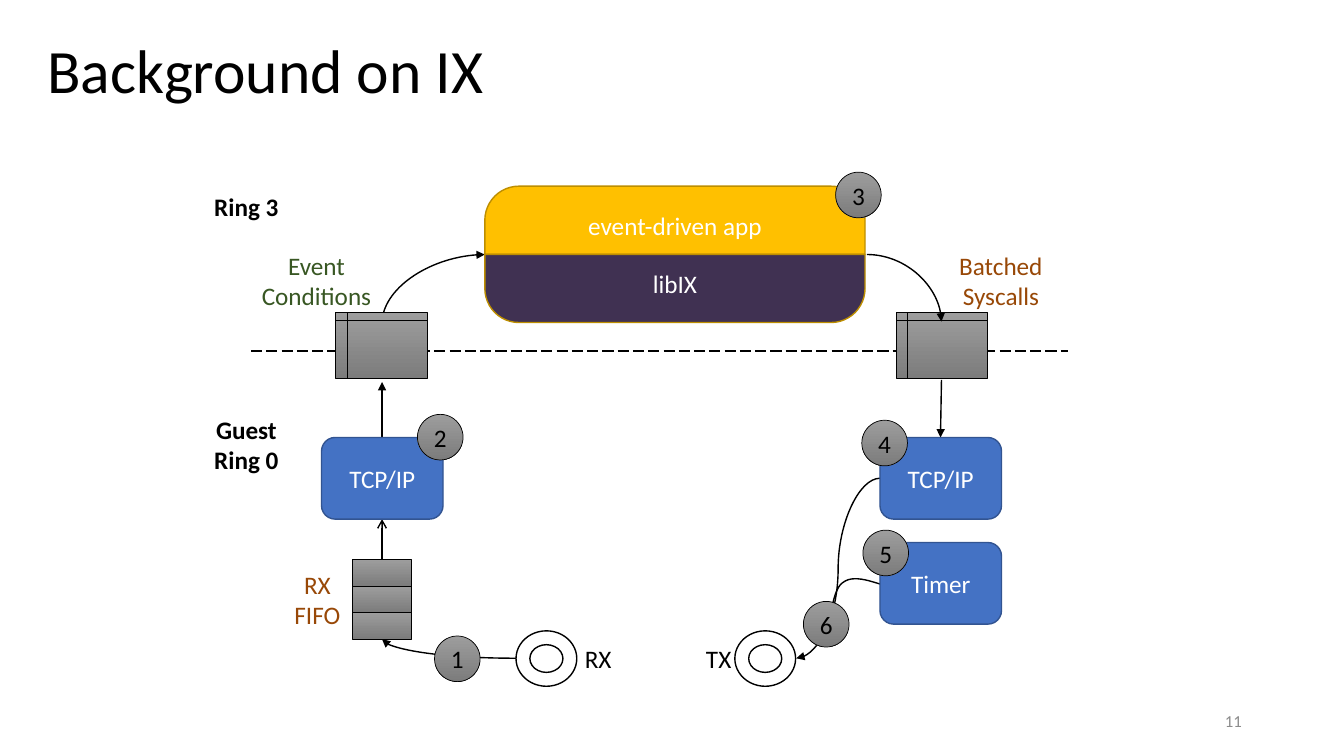
from pptx import Presentation
from pptx.dml.color import RGBColor
from pptx.enum.dml import MSO_LINE
from pptx.enum.shapes import MSO_CONNECTOR as CONN, MSO_SHAPE as SHAPE
from pptx.enum.text import MSO_ANCHOR as ANCHOR, PP_ALIGN as ALIGN
from pptx.oxml.ns import qn
from pptx.util import Pt
from lxml.etree import SubElement

BLACK, WHITE, BLUE, BROWN = "000000", "FFFFFF", "4472C4", "984807"
GREY = ("9D9D9D", "7C7C7C")

prs = Presentation()
prs.slide_width, prs.slide_height = Pt(960), Pt(540)
s = prs.slides.add_slide(prs.slide_layouts[6])
rgb = RGBColor.from_string


def add_text(box, text, color=BLACK, size=18, bold=False, align=ALIGN.CENTER,
             anchor=ANCHOR.TOP, wrap=False, sp=None):
    """Write one paragraph per line, in the shape sp or in a new text box."""
    sp = sp or s.shapes.add_textbox(*map(Pt, box))
    tf = sp.text_frame
    tf.word_wrap, tf.vertical_anchor = wrap, anchor
    for i, line in enumerate(text.split("\n")):
        p = tf.add_paragraph() if i else tf.paragraphs[0]
        p.alignment = align
        r = p.add_run()
        r.text = line
        r.font.name, r.font.size, r.font.bold = "Calibri", Pt(size), bold
        r.font.color.rgb = rgb(color)
    return tf


def add_node(kind, box, fill, line=BLACK, width=1, text="", color=WHITE, adj=()):
    """Draw a preset shape; a pair of fill colours makes a vertical gradient."""
    sp = s.shapes.add_shape(kind, *map(Pt, box))
    sp.shadow.inherit = False
    for i, value in enumerate(adj):
        sp.adjustments[i] = value
    if isinstance(fill, tuple):
        sp.fill.gradient()
        sp.fill.gradient_angle = 270
        for stop, shade in zip(sp.fill.gradient_stops, fill):
            stop.color.rgb = rgb(shade)
    else:
        sp.fill.solid()
        sp.fill.fore_color.rgb = rgb(fill)
    sp.line.color.rgb, sp.line.width = rgb(line), Pt(width)
    if text:
        tf = add_text(box, text, color, anchor=ANCHOR.MIDDLE, wrap=True, sp=sp)
        tf.margin_left = tf.margin_right = tf.margin_top = tf.margin_bottom = 0


# Title and slide number
tf = add_text((26.6, 0, 828, 104.4), "Background on IX", size=44, align=ALIGN.LEFT,
              anchor=ANCHOR.MIDDLE, wrap=True)
tf.paragraphs[0].line_spacing = 0.9
add_text((678.2, 500.4, 216, 28.8), "11", "8C8C8C", 12, align=ALIGN.RIGHT,
         anchor=ANCHOR.MIDDLE, wrap=True)

# Timer curve: two Bezier segments
start = (632.2, 418.3)
segments = [((620.6, 414.7), (609.1, 410.4), (601.9, 416.2)),
            ((594.7, 421.2), (594, 439.9), (590.4, 450.7))]
points = []
for c1, c2, end in segments:
    for t in [n / 12 for n in range(1, 13)]:
        points.append(tuple(
            Pt((1 - t) ** 3 * a + 3 * t * (1 - t) ** 2 * b + 3 * t * t * (1 - t) * c + t ** 3 * d)
            for a, b, c, d in zip(start, c1, c2, end)))
    start = end
fb = s.shapes.build_freeform(Pt(632.2), Pt(418.3))
fb.add_line_segments(points, close=False)
sp = fb.convert_to_shape()
sp.shadow.inherit = False
sp.fill.background()
sp.line.color.rgb, sp.line.width = rgb(BLACK), Pt(1)

# Lines and arrows: type, preset, from, to, arrowhead end, arrowhead
ring_border = (CONN.STRAIGHT, "line", (179.3, 250.6), (763.2, 250.6), None, None)
event_curve = (CONN.CURVE, "curvedConnector2", (346.3, 181.8), (272.9, 231.1),
               "headEnd", "triangle")
arrows = [
    (CONN.STRAIGHT, "line", (272.9, 399.6), (272.9, 370.8), "tailEnd", "arrow"),
    (CONN.STRAIGHT, "line", (272.9, 312.5), (272.9, 272.9), "tailEnd", "triangle"),
    (CONN.STRAIGHT, "line", (672.5, 271.4), (671.8, 312.5), "tailEnd", "triangle"),
    (CONN.CURVE, "curvedConnector3", (628.6, 341.6), (568.8, 470.2), "tailEnd", "triangle"),
    (CONN.CURVE, "curvedConnector2", (619.2, 181.8), (672.5, 229.7), "tailEnd", "triangle"),
    (CONN.CURVE, "curvedConnector2", (368.6, 470.2), (272.9, 456.5), "tailEnd", "triangle"),
]
for kind, preset, a, b, end, head in [ring_border, event_curve, *arrows]:
    if (kind, preset, a, b, end, head) == arrows[0]:
        # Shared-memory blocks cover the first two lines only
        for x in (239.8, 640.1):
            add_node(SHAPE.FLOWCHART_INTERNAL_STORAGE, (x, 223.2, 65.5, 47), GREY, width=0.5)
    cn = s.shapes.add_connector(kind, *map(Pt, a + b))
    cn.line.color.rgb, cn.line.width = rgb(BLACK), Pt(1)
    pr = cn._element.spPr
    pr.find(qn("a:prstGeom")).set("prst", preset)
    if head:
        SubElement(pr.find(qn("a:ln")), qn("a:" + end), type=head)
    else:
        cn.line.dash_style = MSO_LINE.LONG_DASH
    SubElement(pr, qn("a:effectLst"))

# Application and library
for i, (text, fill, adj) in enumerate([("event-driven app", "FFC000", (0.5, 0)),
                                       ("libIX", "403152", (0, 0.5))]):
    # Each half is rounded on its outer side
    add_node(SHAPE.ROUND_2_SAME_RECTANGLE, (346.3, 133 + i * 48.7, 271.6, 48.7), fill,
             "BD8E00", text=text, adj=adj)

# Kernel stages
for x, y, text in [(229.7, 312.5, "TCP/IP"), (628.6, 312.5, "TCP/IP"), (628.6, 387.5, "Timer")]:
    add_node(SHAPE.ROUNDED_RECTANGLE, (x, y, 86.8, 58.3), BLUE, "325491", text=text)

# Receive FIFO and ring buffers
for i in range(3):
    add_node(SHAPE.RECTANGLE, (252, 399.6 + i * 18.9, 41.8, 19.1), GREY, width=0.5)
for x in (368.6, 524.9):
    add_node(SHAPE.DONUT, (x, 450.6, 43.4, 39.6), WHITE)

# Numbered steps
steps = [(310.4, 454.3), (298.2, 296), (596.9, 123), (615.6, 300.2), (616.4, 378.7), (573.9, 429.6)]
for n, (x, y) in enumerate(steps, 1):
    add_node(SHAPE.OVAL, (x, y, 32.6, 32.6), GREY, width=0.5, text=str(n), color=BLACK)

# Labels
labels = [
    ((410.4, 455.8, 33.8, 28.8), "RX", BLACK, False),
    ((496.8, 455.8, 33.1, 28.8), "TX", BLACK, False),
    ((203, 403.2, 47.5, 51.1), "RX\nFIFO", BROWN, False),
    ((179.3, 175, 93.6, 51.1), "Event\nConditions", "385723", False),
    ((677.5, 175, 74.9, 51.1), "Batched\nSyscalls", BROWN, False),
    ((145.4, 133.2, 61.2, 28.8), "Ring 3", BLACK, True),
    ((145.4, 292.3, 61.2, 51.1), "Guest\nRing 0", BLACK, True),
]
for box, text, color, bold in labels:
    add_text(box, text, color, bold=bold)

prs.save("out.pptx")
